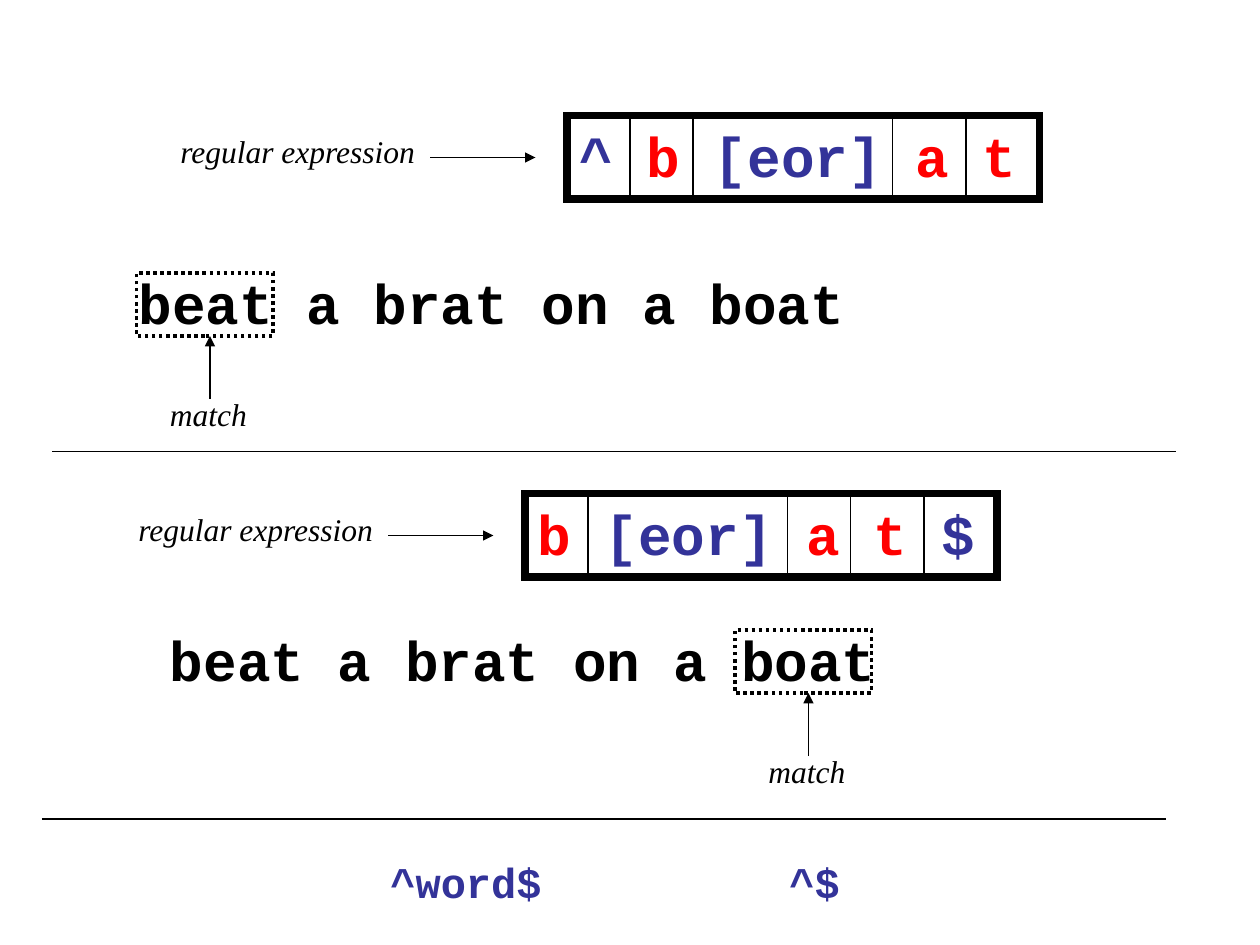
import pptx
import pptx.dml.color
import pptx.enum.dml
import pptx.enum.shapes
import pptx.util
from pptx.oxml.xmlchemy import OxmlElement

Pt = pptx.util.Pt
RGBColor = pptx.dml.color.RGBColor
BLACK = RGBColor(0x00, 0x00, 0x00)
RED = RGBColor(0xFF, 0x00, 0x00)
BLUE = RGBColor(0x33, 0x33, 0x99)
MONO, SERIF = "Courier New", "Times New Roman"

SENTENCE = "beat a brat on a boat"
EXAMPLES = [
    {
        "pattern": [("^", BLUE), (" b ", RED), ("[eor]", BLUE), (" a t", RED)],
        "pattern_at": (324, 66),
        "dividers": (36, 72, 186, 228),
        "sentence_at": (72, 150),
        "match_at": (78, 156),
    },
    {
        "pattern": [("b ", RED), ("[eor]", BLUE), (" a t ", RED), ("$", BLUE)],
        "pattern_at": (300, 282),
        "dividers": (36, 150, 186, 228),
        "sentence_at": (90, 354),
        "match_at": (420, 360),
    },
]
RULES = [(30, 672, 258), (24, 666, 468)]  # left, right, y
ANCHORED = [("^$", 444, 48), ("^word$", 216, 108)]  # text, left, width
ANCHORED_TOP = 486

prs = pptx.Presentation()
prs.slide_width, prs.slide_height = Pt(720), Pt(540)
s = prs.slides.add_slide(prs.slide_layouts[6])


def add_text(runs, x, y, w, h, size, font=MONO, wrap=True):
    tf = s.shapes.add_textbox(Pt(x), Pt(y), Pt(w), Pt(h)).text_frame
    tf.word_wrap = wrap
    p = tf.paragraphs[0]
    for text, color in runs:
        r = p.add_run()
        r.text = text
        r.font.name, r.font.size = font, Pt(size)
        r.font.bold, r.font.italic = font == MONO, font == SERIF
        r.font.color.rgb = color


def add_label(text, x, y, w):
    add_text([(text, BLACK)], x, y, w, 28.8, 18, SERIF, wrap=False)


def add_frame(x, y, w, h, weight, dash=pptx.enum.dml.MSO_LINE.SOLID):
    """Draw an unfilled rectangle with square corners."""
    sp = s.shapes.add_shape(pptx.enum.shapes.MSO_SHAPE.RECTANGLE,
                            Pt(x), Pt(y), Pt(w), Pt(h))
    sp.shadow.inherit = False
    sp.fill.background()
    sp.line.color.rgb = BLACK
    sp.line.width = Pt(weight)
    sp.line.dash_style = dash
    miter = OxmlElement("a:miter")
    miter.set("lim", "800000")
    sp.line._get_or_add_ln().append(miter)


def add_line(x1, y1, x2, y2, arrow=False):
    cn = s.shapes.add_connector(pptx.enum.shapes.MSO_CONNECTOR.STRAIGHT,
                                Pt(x1), Pt(y1), Pt(x2), Pt(y2))
    cn.line.color.rgb = BLACK
    cn.line.width = Pt(0.75)
    if arrow:
        tail = OxmlElement("a:tailEnd")
        tail.set("type", "triangle")
        cn.line._get_or_add_ln().append(tail)
    cn._element.spPr.append(OxmlElement("a:effectLst"))


def add_pattern(runs, x, y, dividers):
    add_label("regular expression", x - 228, y + 6, 150)
    add_line(x - 78, y + 24, x - 18, y + 24, arrow=True)
    add_frame(x, y, 270, 48, 4.5)
    add_text(runs, x, y, 288, 45.4, 32)
    for dx in dividers:
        add_line(x + dx, y, x + dx, y + 48)


def add_match(x, y):
    add_frame(x, y, 78, 36, 2, pptx.enum.dml.MSO_LINE.ROUND_DOT)
    add_label("match", x + 12, y + 66, 58.3)
    add_line(x + 42, y + 72, x + 42, y + 36, arrow=True)


for example in EXAMPLES:
    add_pattern(example["pattern"], *example["pattern_at"], example["dividers"])
    add_text([(SENTENCE, BLACK)], *example["sentence_at"], 486, 45.4, 32)
    add_match(*example["match_at"])

for left, right, y in RULES:
    add_line(left, y, right, y)

for text, left, width in ANCHORED:
    add_text([(text, BLUE)], left, ANCHORED_TOP, width, 36, 24)

prs.save("out.pptx")
